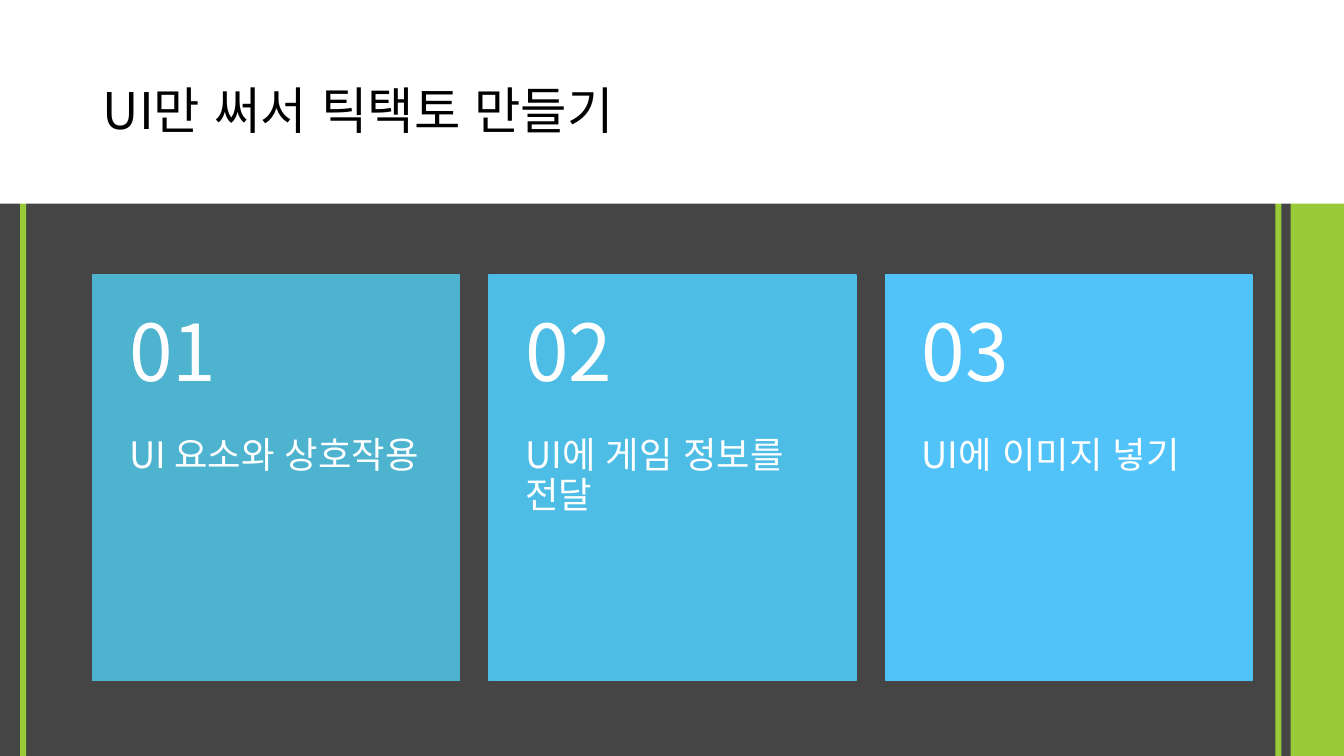
from pptx import Presentation
from pptx.dml.color import RGBColor as RGB
from pptx.enum.lang import MSO_LANGUAGE_ID as Lang
from pptx.enum.shapes import MSO_SHAPE as Shape
from pptx.enum.text import MSO_ANCHOR as Anchor, MSO_AUTO_SIZE as Fit, PP_ALIGN as Align
from pptx.oxml.ns import qn
from pptx.util import Inches, Pt
from lxml import etree

COLORS = {
    "back": "454545", "lime": "99CB38", "white": "FFFFFF", "black": "000000",
    "teal": "4EB3CF", "sky": "4DBDE6", "blue": "51C3F9",
}
FONT = "Noto Sans CJK KR"
CARDS = [
    ("UI 요소와 상호작용", "teal"),
    ("UI에 게임 정보를 전달", "sky"),
    ("UI에 이미지 넣기", "blue"),
]
LEFT, TOP, WIDE, HIGH = 0.92, 2.73, 3.64, 4.02
STEP, HEAD = 3.93, 1.61


def color(name):
    return RGB.from_string(COLORS[name])


def add_rect(shapes, box, fill, line=False):
    rect = shapes.add_shape(Shape.RECTANGLE, *map(Inches, box))
    rect.shadow.inherit = False
    rect.fill.solid()
    rect.fill.fore_color.rgb = color(fill)
    if line:
        rect.line.color.rgb = color(fill)
        rect.line.width = Pt(1)
    else:
        rect.line.fill.background()
    return rect


def set_text(shape, text, size, ink="white", face=FONT, anchor=Anchor.TOP, inset=None):
    frame = shape.text_frame
    frame.text = text
    frame.word_wrap = True
    frame.auto_size = Fit.NONE
    frame.vertical_anchor = anchor
    if inset:
        (frame.margin_left, frame.margin_top,
         frame.margin_right, frame.margin_bottom) = map(Inches, inset)
    para = frame.paragraphs[0]
    para.alignment = Align.LEFT
    para.line_spacing = 0.9
    font = para.runs[0].font
    font.size = Pt(size)
    font.name = face
    font.color.rgb = color(ink)
    font.language_id = Lang.KOREAN
    # Korean letters take the East Asian typeface
    latin = para.runs[0]._r.rPr.find(qn("a:latin"))
    asian = etree.Element(qn("a:ea"), typeface=face)
    latin.addnext(asian)


def add_card(slide, index, text, fill):
    group = slide.shapes.add_group_shape().shapes
    left = LEFT + index * STEP
    add_rect(group, (left, TOP, WIDE, HIGH), fill, line=True)
    body = group.add_textbox(*map(Inches, (left, TOP + HEAD, WIDE, HIGH - HEAD)))
    set_text(body, text, 26, inset=(0.36, 0, 0.36, 0.36))
    label = group.add_textbox(*map(Inches, (left, TOP, WIDE, HEAD)))
    set_text(label, f"{index + 1:02}", 56, anchor=Anchor.MIDDLE,
             inset=(0.36, 0.18, 0.36, 0.18))


def add_title(slide, text):
    title = slide.shapes.title
    title.left, title.top, title.width, title.height = map(Inches, (LEFT, 0.4, 11.5, 1.45))
    set_text(title, text, 36, ink="black", face="Noto Sans CJK JP", anchor=Anchor.MIDDLE)
    # Bring the title in front of the white band
    title.element.getparent().append(title.element)


def main():
    deck = Presentation()
    deck.slide_width, deck.slide_height = Inches(13.33), Inches(7.5)
    slide = deck.slides.add_slide(deck.slide_layouts[5])
    slide.background.fill.solid()
    slide.background.fill.fore_color.rgb = color("back")

    # Side stripes
    for left, wide in ((12.8, 0.53), (12.65, 0.06), (0.2, 0.06)):
        add_rect(slide.shapes, (left, 0, wide, 7.5), "lime")

    # Title band
    add_rect(slide.shapes, (0, 0, 13.33, 2.02), "white")
    add_title(slide, "UI만 써서 틱택토 만들기")

    # Numbered cards
    for index, (text, fill) in enumerate(CARDS):
        add_card(slide, index, text, fill)

    deck.save("out.pptx")


if __name__ == "__main__":
    main()
